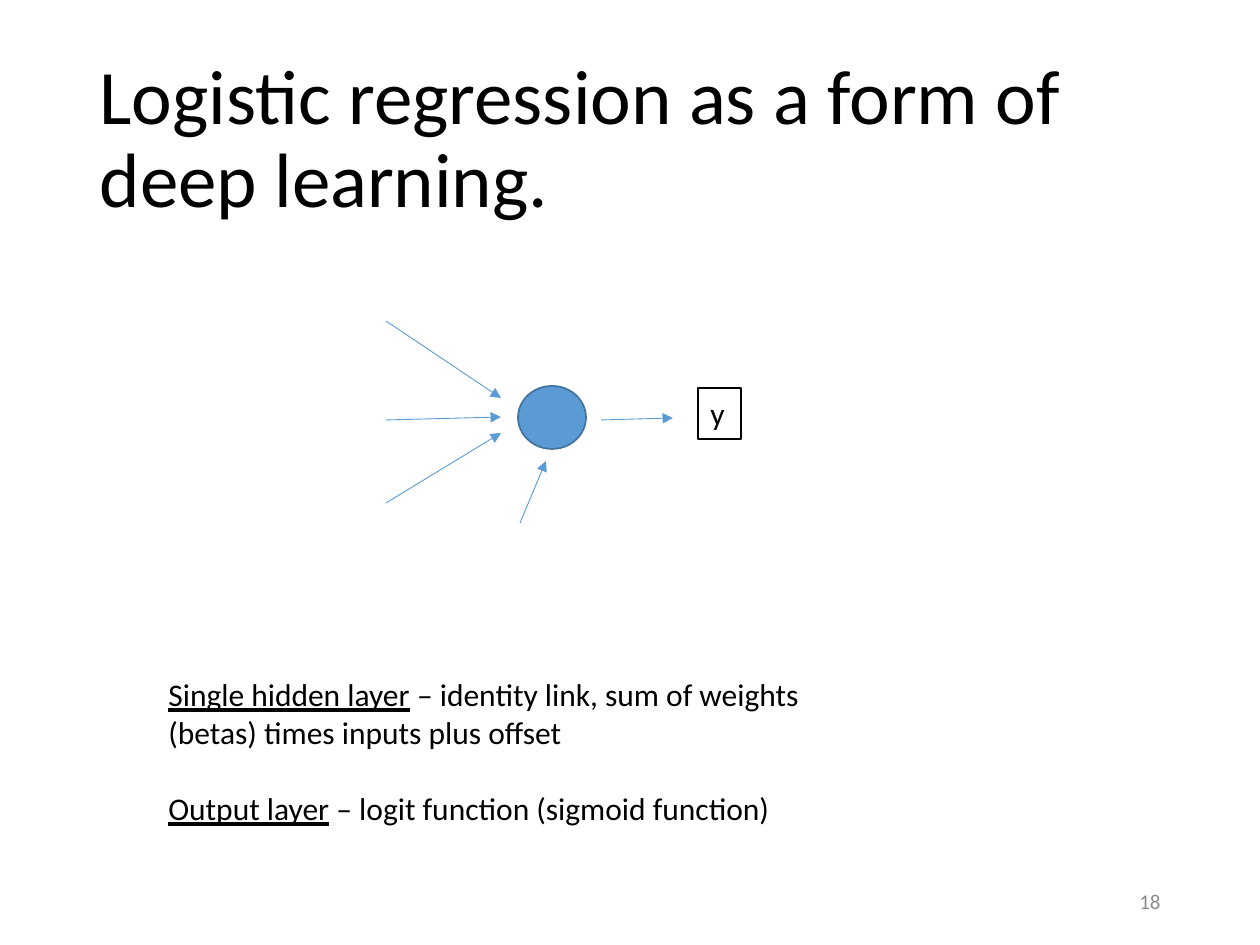
from lxml import etree
from pptx import Presentation
from pptx.dml.color import RGBColor
from pptx.enum.shapes import MSO_CONNECTOR, MSO_SHAPE
from pptx.enum.text import MSO_ANCHOR, MSO_AUTO_SIZE, PP_ALIGN
from pptx.oxml.ns import qn
from pptx.util import Pt

STRAIGHT = MSO_CONNECTOR.STRAIGHT
OVAL, RECTANGLE = MSO_SHAPE.OVAL, MSO_SHAPE.RECTANGLE
TOP, MIDDLE = MSO_ANCHOR.TOP, MSO_ANCHOR.MIDDLE
LEFT, RIGHT = PP_ALIGN.LEFT, PP_ALIGN.RIGHT
NO_AUTOFIT = MSO_AUTO_SIZE.NONE

BLACK = RGBColor(0x00, 0x00, 0x00)
GRAY = RGBColor(0x8C, 0x8C, 0x8C)
BLUE = RGBColor(0x5B, 0x9B, 0xD5)
DARK_BLUE = RGBColor(0x43, 0x73, 0x9E)
FONT = "Calibri"
EMU_PER_PX = 914400 // 126

# Content; boxes are (left, top, width, height) in px
TITLE = "Logistic regression as a form of deep learning."
TITLE_BOX = (87, 50, 1086, 183)
LAYERS = [
    ("Single hidden layer",
     " – identity link, sum of weights (betas) times inputs plus offset"),
    ("Output layer", " – logit function (sigmoid function)"),
]
LAYERS_BOX = (156, 669, 721, 165)
NEURON_BOX = (518, 386, 68, 63)
OUTPUT_BOX = (698, 388, 43, 51)
NUMBER_BOX = (890, 876, 283, 50)
ARROWS = [  # start x, start y, end x, end y
    (386, 321, 501, 398),  # inputs
    (386, 420, 501, 417),
    (386, 503, 501, 433),
    (520, 523, 546, 461),  # offset
    (601, 420, 673, 418),  # output
]


def px(values):
    return [v * EMU_PER_PX for v in values]


def format_text(s, size, color=BLACK, align=LEFT, anchor=TOP):
    tf = s.text_frame
    tf.word_wrap = True
    tf.auto_size = NO_AUTOFIT
    tf.vertical_anchor = anchor
    for p in tf.paragraphs:
        p.alignment = align
        for r in p.runs:
            r.font.name = FONT
            r.font.size = Pt(size)
            r.font.color.rgb = color


def add_outlined(shape_type, box, color, width):
    s = slide.shapes.add_shape(shape_type, *px(box))
    s.shadow.inherit = False
    s.fill.background()
    s.line.color.rgb = color
    s.line.width = Pt(width)
    return s


def add_arrow(ends):
    c = slide.shapes.add_connector(STRAIGHT, *px(ends))
    c.line.color.rgb = BLUE
    c.line.width = Pt(0.5)
    etree.SubElement(c.line._get_or_add_ln(), qn("a:tailEnd"), type="triangle")
    etree.SubElement(c._element.spPr, qn("a:effectLst"))


prs = Presentation()
prs.slide_width, prs.slide_height = px((1260, 945))
slide = prs.slides.add_slide(prs.slide_layouts[5])

# Title
title = slide.shapes.title
title.left, title.top, title.width, title.height = px(TITLE_BOX)
title.text_frame.text = TITLE
title.text_frame.paragraphs[0].line_spacing = 0.9
format_text(title, 44, anchor=MIDDLE)

# Network: arrows, neuron and output
for ends in ARROWS:
    add_arrow(ends)

neuron = add_outlined(OVAL, NEURON_BOX, DARK_BLUE, 1)
neuron.fill.solid()
neuron.fill.fore_color.rgb = BLUE

output = add_outlined(RECTANGLE, OUTPUT_BOX, BLACK, 0.75)
output.text_frame.text = "y"
format_text(output, 18)

# Explanation of the layers
layers = slide.shapes.add_textbox(*px(LAYERS_BOX))
tf = layers.text_frame
for i, (name, detail) in enumerate(LAYERS):
    p = tf.add_paragraph() if i else tf.paragraphs[0]
    if i:
        p.space_before = Pt(22)
    r = p.add_run()
    r.text = name
    r.font.underline = True
    p.add_run().text = detail
format_text(layers, 18)

# Slide number
number = slide.shapes.add_textbox(*px(NUMBER_BOX))
number.text_frame.text = "18"
format_text(number, 12, GRAY, RIGHT, MIDDLE)

prs.save("out.pptx")
